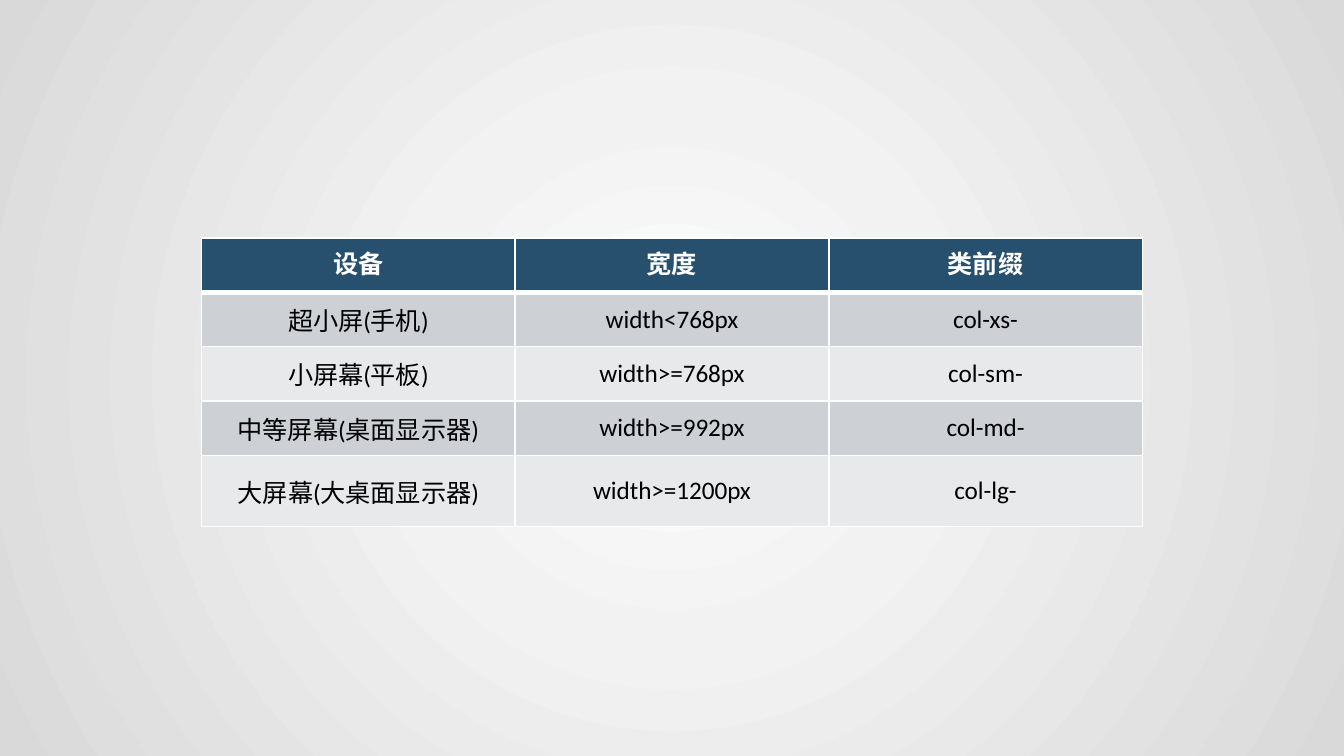
from pptx import Presentation
from pptx.dml.color import RGBColor
from pptx.enum import text
from pptx.oxml import parse_xml
from pptx.oxml.ns import nsdecls
from pptx.util import Inches, Pt

COLORS = {
    "white": "FFFFFF",
    "black": "000000",
    "header": "27506E",
    "band_dark": "CDD0D5",
    "band_light": "E8E9EB",
    "glow": "F2F2F2",
    "edge": "D9D9D9",
}
ROWS = [
    ("设备", "宽度", "类前缀"),
    ("超小屏(手机)", "width<768px", "col-xs-"),
    ("小屏幕(平板)", "width>=768px", "col-sm-"),
    ("中等屏幕(桌面显示器)", "width>=992px", "col-md-"),
    ("大屏幕(大桌面显示器)", "width>=1200px", "col-lg-"),
]
LAST_ROW_HEIGHT = 0.53


def paint_background(page):
    """Radial gradient, light in the centre."""
    stops = "".join(
        f'<a:gs pos="{percent * 1000}"><a:srgbClr val="{COLORS[name]}"/></a:gs>'
        for percent, name in [(0, "white"), (35, "glow"), (100, "edge")])
    page.background.fill.solid()
    solid = page.background._cSld.bg.bgPr[0]
    solid.getparent().replace(solid, parse_xml(
        f'<a:gradFill {nsdecls("a")} rotWithShape="1"><a:gsLst>{stops}</a:gsLst>'
        '<a:path path="circle">'
        '<a:fillToRect l="50000" t="50000" r="50000" b="50000"/>'
        '</a:path></a:gradFill>'))


def set_borders(cell, row):
    """White lines, with a thick one below the header row."""
    widths = {"L": 1, "R": 1, "T": 3 if row == 1 else 1, "B": 3 if row == 0 else 1}
    properties = cell._tc.get_or_add_tcPr()
    for index, (side, width) in enumerate(widths.items()):
        properties.insert(index, parse_xml(
            f'<a:ln{side} {nsdecls("a")} w="{Pt(width)}"><a:solidFill>'
            f'<a:srgbClr val="{COLORS["white"]}"/></a:solidFill></a:ln{side}>'))


def format_cell(cell, row, words):
    header = row == 0
    band = "header" if header else "band_dark" if row % 2 else "band_light"
    cell.text = words
    cell.fill.solid()
    cell.fill.fore_color.rgb = RGBColor.from_string(COLORS[band])
    cell.vertical_anchor = text.MSO_ANCHOR.TOP if header else text.MSO_ANCHOR.MIDDLE
    para = cell.text_frame.paragraphs[0]
    para.alignment = text.PP_ALIGN.CENTER
    para.font.name = "Calibri"
    para.font.size = Pt(13.5)
    para.font.bold = header
    para.font.color.rgb = RGBColor.from_string(COLORS["white" if header else "black"])
    set_borders(cell, row)


def add_breakpoint_table(page, left, top, width, height):
    columns = len(ROWS[0])
    table = page.shapes.add_table(
        len(ROWS), columns, Inches(left), Inches(top),
        Inches(width), Inches(height)).table
    for column in table.columns:
        column.width = Inches(width / columns)
    # The last row is taller; the others share the rest equally
    row_height = (height - LAST_ROW_HEIGHT) / (len(ROWS) - 1)
    for row, entries in enumerate(ROWS):
        last = row == len(ROWS) - 1
        table.rows[row].height = Inches(LAST_ROW_HEIGHT if last else row_height)
        for column, words in enumerate(entries):
            format_cell(table.cell(row, column), row, words)


def main():
    deck = Presentation()
    deck.slide_width = Inches(10)
    deck.slide_height = deck.slide_width * 9 // 16
    page = deck.slides.add_slide(deck.slide_layouts[6])
    paint_background(page)
    add_breakpoint_table(page, left=1.5, top=1.77, width=7, height=2.15)
    deck.save("out.pptx")


if __name__ == "__main__":
    main()
